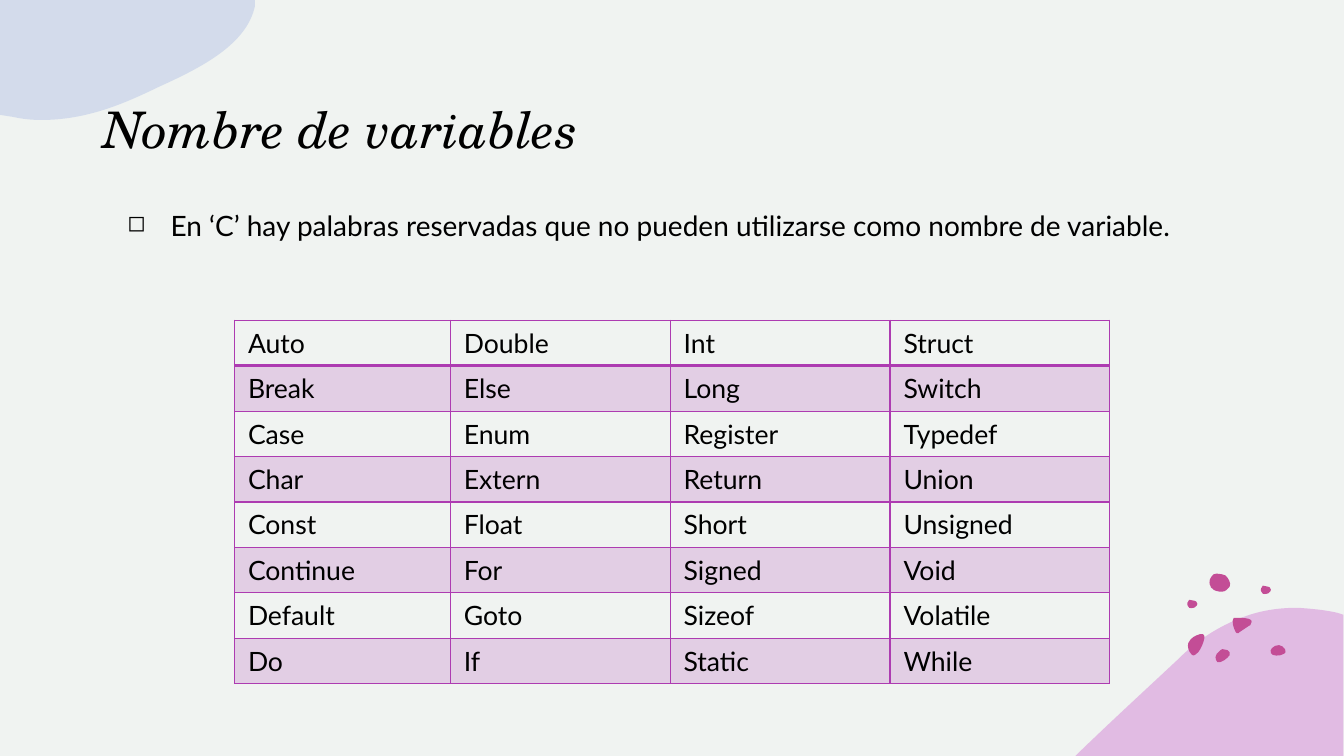
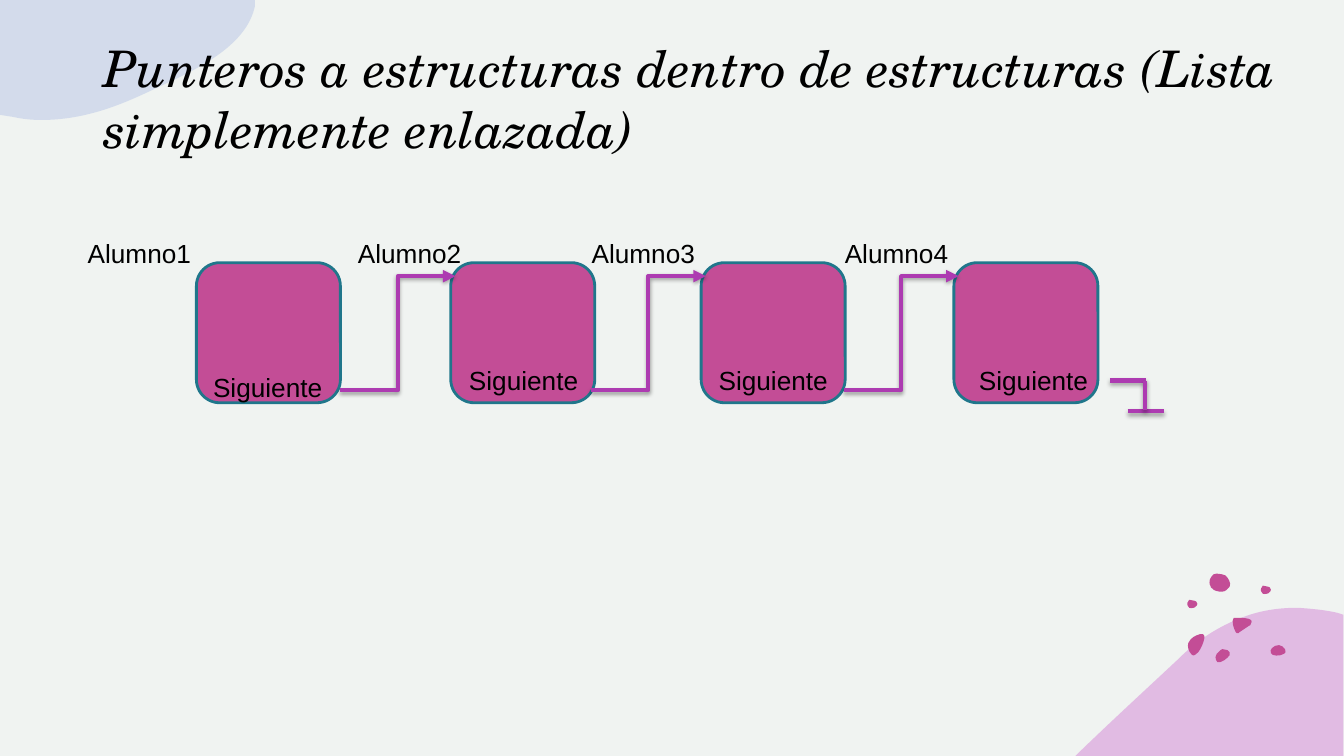
from lxml import etree
from pptx import Presentation
from pptx.dml.color import RGBColor
from pptx.enum.shapes import MSO_CONNECTOR, MSO_SHAPE
from pptx.enum.text import MSO_ANCHOR, MSO_AUTO_SIZE, PP_ALIGN
from pptx.oxml.ns import qn
from pptx.util import Cm, Pt

# Shared look
PAPER = RGBColor(0xF0, 0xF3, 0xF1)
INK = RGBColor(0x00, 0x00, 0x00)
PURPLE = RGBColor(0xAD, 0x3B, 0xB1)
PINK = RGBColor(0xC3, 0x4D, 0x96)
LILAC = RGBColor(0xD3, 0x84, 0xD6)
SKY = RGBColor(0xB8, 0xC5, 0xE7)
TEAL = RGBColor(0x20, 0x76, 0x8B)
TITLE_FONT, BODY_FONT, LABEL_FONT = "TeX Gyre Schola", "Lato", "Arial"
PAD_X, PAD_Y = Cm(0.34), Cm(0.17)

# Decoration outlines, in units of 2.54 cm: a start point, then lines (x, y)
# and curves (two control points and an end point)
OUTLINE_UNIT = Cm(2.54)
CORNER = [(0, 0), (2.53, 0), (2.53, 0.06),
          (2.45, 0.44, 2, 0.67, 1.58, 0.86), (1.23, 1.03, 0.86, 1.19, 0.41, 1.19),
          (0.31, 1.19, 0.22, 1.18, 0.13, 1.16), (0, 1.14)]
HILL = [(12.88, 6.03), (13.01, 6.04, 13.14, 6.05, 13.27, 6.08), (13.33, 6.1),
        (13.33, 7.5), (10.67, 7.5), (10.68, 7.49),
        (11.02, 7.16, 11.37, 6.84, 11.69, 6.54),
        (11.91, 6.32, 12.14, 6.19, 12.37, 6.11),
        (12.54, 6.05, 12.71, 6.03, 12.88, 6.03)]
PEBBLE = [(12.51, 5.86), (12.51, 5.86, 12.51, 5.82, 12.53, 5.81),
          (12.55, 5.81, 12.56, 5.81, 12.58, 5.82),
          (12.59, 5.82, 12.61, 5.83, 12.61, 5.85),
          (12.61, 5.86, 12.6, 5.88, 12.59, 5.88),
          (12.59, 5.88, 12.59, 5.89, 12.57, 5.89),
          (12.56, 5.89, 12.54, 5.9, 12.53, 5.89),
          (12.52, 5.87, 12.51, 5.87, 12.51, 5.86)]
SPOTS = [
    [(12.13, 6.44), (12.15, 6.44, 12.16, 6.44, 12.18, 6.45),
     (12.2, 6.46, 12.21, 6.48, 12.2, 6.5), (12.18, 6.53, 12.12, 6.58, 12.08, 6.57),
     (12.07, 6.56, 12.06, 6.54, 12.06, 6.52), (12.06, 6.5, 12.08, 6.47, 12.1, 6.46),
     (12.11, 6.45, 12.12, 6.44, 12.13, 6.44)],
    [(11.91, 6.29), (11.93, 6.29, 11.95, 6.29, 11.95, 6.31),
     (11.95, 6.32, 11.95, 6.32, 11.95, 6.33), (11.94, 6.38, 11.92, 6.43, 11.89, 6.47),
     (11.87, 6.49, 11.84, 6.52, 11.82, 6.49), (11.79, 6.46, 11.78, 6.41, 11.79, 6.38),
     (11.8, 6.35, 11.82, 6.34, 11.84, 6.32), (11.85, 6.32, 11.88, 6.29, 11.91, 6.29)],
    [(12.69, 6.4), (12.71, 6.4, 12.74, 6.42, 12.75, 6.44),
     (12.76, 6.46, 12.76, 6.48, 12.73, 6.49), (12.7, 6.51, 12.62, 6.51, 12.61, 6.48),
     (12.6, 6.46, 12.61, 6.44, 12.62, 6.43), (12.64, 6.41, 12.66, 6.4, 12.69, 6.4)],
    [(12.01, 5.81), (12, 5.81, 11.99, 5.75, 12.02, 5.72),
     (12.04, 5.7, 12.04, 5.69, 12.07, 5.69), (12.1, 5.69, 12.14, 5.7, 12.16, 5.71),
     (12.18, 5.73, 12.22, 5.78, 12.2, 5.82), (12.17, 5.85, 12.16, 5.87, 12.12, 5.87),
     (12.09, 5.87, 12.04, 5.86, 12.03, 5.84), (12.01, 5.83, 12.01, 5.82, 12.01, 5.81)],
    PEBBLE,
    [tuple(v + (0.14 if i % 2 else -0.73) for i, v in enumerate(step))
     for step in PEBBLE],
    [(12.28, 6.13), (12.34, 6.13, 12.45, 6.13, 12.41, 6.19),
     (12.41, 6.2, 12.4, 6.21, 12.39, 6.21), (12.36, 6.23, 12.33, 6.25, 12.3, 6.27),
     (12.29, 6.28, 12.28, 6.29, 12.27, 6.28), (12.27, 6.28, 12.26, 6.27, 12.26, 6.27),
     (12.24, 6.23, 12.23, 6.2, 12.23, 6.16), (12.23, 6.15, 12.23, 6.14, 12.24, 6.13),
     (12.24, 6.13, 12.25, 6.13, 12.25, 6.13), (12.26, 6.13, 12.27, 6.13, 12.28, 6.13)],
]

# Reserved words, filled down the columns
RESERVED = """
    Auto Break Case Char Const Continue Default Do
    Double Else Enum Extern Float For Goto If
    Int Long Register Return Short Signed Sizeof Static
    Struct Switch Typedef Union Unsigned Void Volatile While
""".split()
ROWS, COLS = 8, 4

# Linked list: name, name left, box left, field left, field top (cm)
NODES = [
    ("Alumno1", 1.87, 4.95, 5.03, 9.19),
    ("Alumno2", 8.68, 11.36, 11.48, 9.02),
    ("Alumno3", 14.57, 17.67, 17.77, 9.02),
    ("Alumno4", 20.95, 24.04, 24.33, 9.02),
]


def set_alpha(parent, percent):
    for clr in parent.iter(qn("a:srgbClr")):
        etree.SubElement(clr, qn("a:alpha")).set("val", str(percent * 1000))


def write(tf, text, size, font, italic=False, bullet=None, anchor=MSO_ANCHOR.TOP):
    """Fill a text frame with one left-aligned paragraph."""
    tf.word_wrap = True
    tf.auto_size = MSO_AUTO_SIZE.NONE
    tf.vertical_anchor = anchor
    tf.margin_left = tf.margin_right = PAD_X
    tf.margin_top = tf.margin_bottom = PAD_Y
    p = tf.paragraphs[0]
    p.alignment = PP_ALIGN.LEFT
    if bullet:
        pPr = p._p.get_or_add_pPr()
        pPr.set("marL", str(Cm(1.7)))
        pPr.set("indent", str(Cm(-1.09)))
        etree.SubElement(pPr, qn("a:buSzPct")).set("val", "80000")
        etree.SubElement(pPr, qn("a:buChar")).set("char", bullet)
    r = p.add_run()
    r.text = text
    r.font.size, r.font.name = Pt(size), font
    r.font.italic, r.font.bold = italic, False
    r.font.color.rgb = INK


def add_text(s, text, left, top, width, height, **fmt):
    box = s.shapes.add_textbox(Cm(left), Cm(top), Cm(width), Cm(height))
    write(box.text_frame, text, **fmt)


def set_title(s, text, width):
    sp = s.shapes.title
    sp.left, sp.top, sp.width, sp.height = Cm(2.26), Cm(0.43), Cm(width), Cm(3.73)
    write(sp.text_frame, text, size=36, font=TITLE_FONT, italic=True,
          anchor=MSO_ANCHOR.BOTTOM)


# Decoration
def add_outline(shapes, steps, color, alpha=None):
    steps = [[round(v * OUTLINE_UNIT) for v in step] for step in steps]
    builder = shapes.build_freeform(*steps[0])
    builder.add_line_segments([step[-2:] for step in steps[1:]], close=True)
    sp = builder.convert_to_shape()
    # Turn the straight segments that have control points into curves
    segments = list(sp.element.iter(qn("a:lnTo")))
    for segment, step in zip(segments, steps[1:]):
        if len(step) == 6:
            curve = etree.Element(qn("a:cubicBezTo"))
            for x, y in zip(step[::2], step[1::2]):
                etree.SubElement(curve, qn("a:pt"), x=str(x - sp.left),
                                 y=str(y - sp.top))
            segment.getparent().replace(segment, curve)
    sp.shadow.inherit = False
    sp.fill.solid()
    sp.fill.fore_color.rgb = color
    sp.line.fill.background()
    if alpha:
        set_alpha(sp.element.spPr, alpha)
    return sp


def decorate_layout(layout, s):
    """Draw the background shapes on s, then move them to its layout."""
    layout.background.fill.solid()
    layout.background.fill.fore_color.rgb = PAPER
    for ph in list(layout.placeholders)[1:]:
        ph.element.getparent().remove(ph.element)
    hill = add_outline(s.shapes, HILL, LILAC, 50)
    spots = s.shapes.add_group_shape()
    for spot in SPOTS:
        add_outline(spots.shapes, spot, PINK)
    corner = add_outline(s.shapes, CORNER, SKY, 50)
    for sp in (hill, spots, corner):
        layout.shapes.element.append(sp.element)


# Table
def format_cell(cell, row):
    if row % 2:
        cell.fill.solid()
        cell.fill.fore_color.rgb = PURPLE
    else:
        cell.fill.background()
    tcPr = cell._tc.get_or_add_tcPr()
    set_alpha(tcPr, 20)
    for i, side in enumerate(("lnL", "lnR", "lnT", "lnB")):
        thick = (row, side) in ((0, "lnB"), (1, "lnT"))
        ln = etree.Element(qn(f"a:{side}"), w=str(Pt(2 if thick else 1)))
        fill = etree.SubElement(ln, qn("a:solidFill"))
        etree.SubElement(fill, qn("a:srgbClr")).set("val", str(PURPLE))
        tcPr.insert(i, ln)


def add_word_table(s):
    frame = s.shapes.add_table(ROWS, COLS, Cm(5.91), Cm(8.07), Cm(22.06), Cm(9.12))
    table = frame.table
    table.first_row = table.horz_banding = False
    for col in range(COLS):
        table.columns[col].width = Cm(5.54 if col else 5.44)
    for row in range(ROWS):
        table.rows[row].height = Cm(1.14)
        for col in range(COLS):
            cell = table.cell(row, col)
            write(cell.text_frame, RESERVED[col * ROWS + row], size=19, font=BODY_FONT)
            cell.margin_left = cell.margin_right = PAD_X
            cell.margin_top = cell.margin_bottom = PAD_Y
            format_cell(cell, row)


# Linked list
def add_line(s, x1, y1, x2, y2, kind=MSO_CONNECTOR.STRAIGHT, arrow=False):
    line = s.shapes.add_connector(kind, Cm(x1), Cm(y1), Cm(x2), Cm(y2))
    line.line.color.rgb = PURPLE
    line.line.width = Pt(3)
    if arrow:
        ln = line.line._get_or_add_ln()
        etree.SubElement(ln, qn("a:tailEnd")).set("type", "triangle")
    effects = etree.SubElement(line.element.spPr, qn("a:effectLst"))
    shadow = etree.SubElement(effects, qn("a:outerShdw"), blurRad=str(Pt(3.1)),
                              dist=str(Pt(1.8)), dir="5400000", rotWithShape="0")
    etree.SubElement(shadow, qn("a:srgbClr")).set("val", str(INK))
    set_alpha(effects, 35)


def add_node(s, left):
    sp = s.shapes.add_shape(MSO_SHAPE.ROUNDED_RECTANGLE,
                            Cm(left), Cm(6.62), Cm(3.63), Cm(3.53))
    sp.shadow.inherit = False
    sp.fill.solid()
    sp.fill.fore_color.rgb = PINK
    sp.line.color.rgb = TEAL
    sp.line.width = Pt(2)


def add_linked_list(s):
    for i, (_, _, left, _, _) in enumerate(NODES):
        add_node(s, left)
        if i:
            end = left + 0.12
            add_line(s, end - 2.9, 9.83, end, 6.96, MSO_CONNECTOR.ELBOW, arrow=True)
    for name, name_left, _, field_left, field_top in NODES:
        for text, left, top in (("Siguiente", field_left, field_top),
                                (name, name_left, 5.82)):
            add_text(s, text, left, top, 3.63, 1.14, size=18.7, font=LABEL_FONT)
    # Null end of the list
    add_line(s, 27.97, 9.59, 28.88, 9.59)
    add_line(s, 28.42, 10.36, 29.34, 10.36)
    add_line(s, 28.85, 10.34, 28.85, 9.59)


def main():
    prs = Presentation()
    prs.slide_width, prs.slide_height = Cm(33.87), Cm(19.05)
    layout = prs.slide_layouts[5]

    # Reserved words
    s = prs.slides.add_slide(layout)
    decorate_layout(layout, s)
    set_title(s, "Nombre de variables", 30.2)
    add_text(s, "En ‘C’ hay palabras reservadas que no pueden utilizarse "
             "como nombre de variable.", 2.26, 5.08, 30.2, 12.14,
             size=20, font=BODY_FONT, bullet="◻")
    add_word_table(s)

    # Linked list
    s = prs.slides.add_slide(layout)
    set_title(s, "Punteros a estructuras dentro de estructuras "
              "(Lista simplemente enlazada)", 31.12)
    add_linked_list(s)

    prs.save("out.pptx")


if __name__ == "__main__":
    main()
